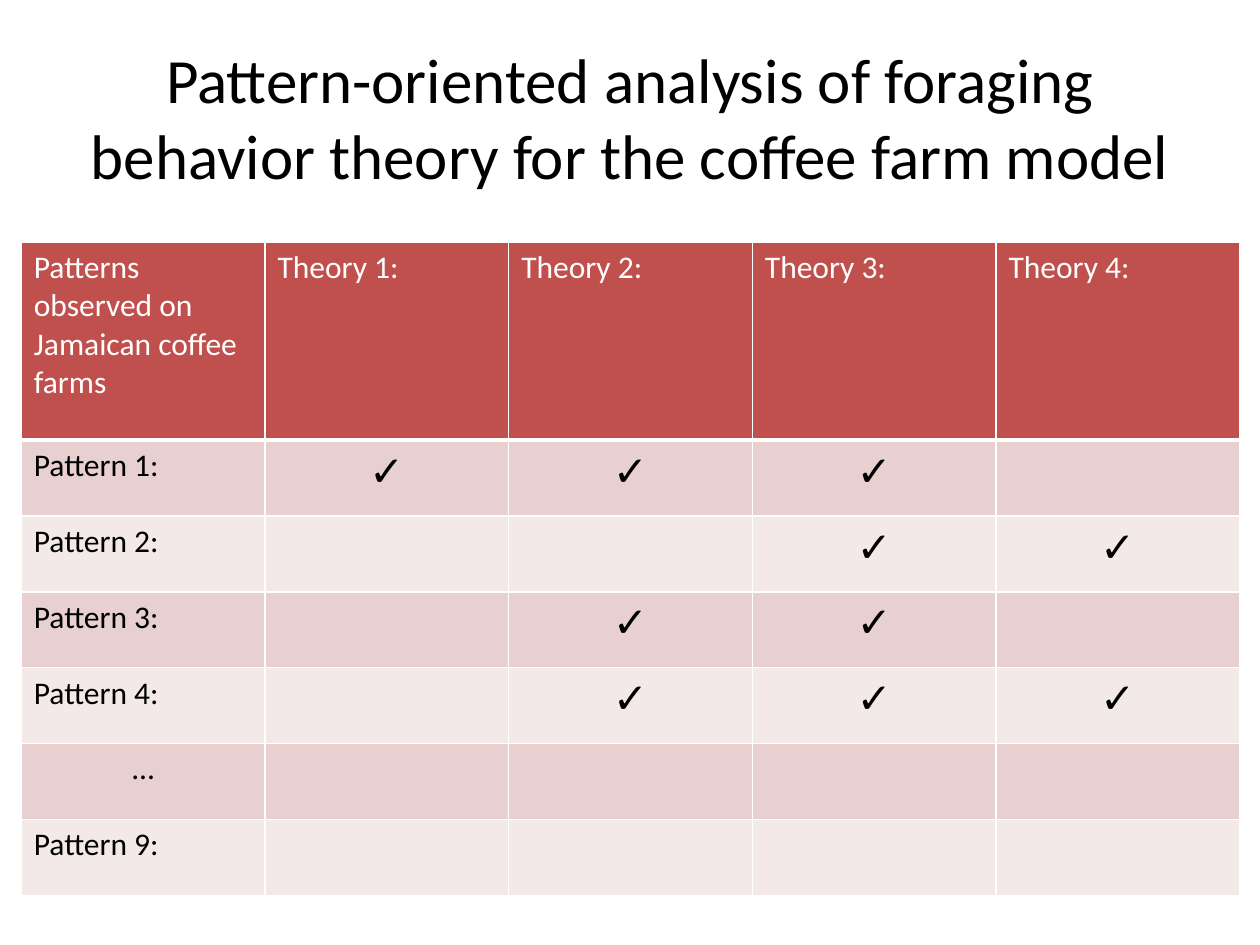
from lxml.etree import SubElement as Sub
from pptx import Presentation
from pptx.dml.color import RGBColor as Rgb
from pptx.enum.text import MSO_ANCHOR as Anchor, PP_ALIGN as Align
from pptx.oxml.ns import qn
from pptx.util import Cm, Pt

TITLE = "Pattern-oriented analysis of foraging behavior theory for the coffee farm model"
HEAD = ["Patterns observed on Jamaican coffee farms",
        "Theory 1:", "Theory 2:", "Theory 3:", "Theory 4:"]
ROWS = [
    ("Pattern 1:", {1, 2, 3}),
    ("Pattern 2:", {3, 4}),
    ("Pattern 3:", {2, 3}),
    ("Pattern 4:", {2, 3, 4}),
    ("...", set()),
    ("Pattern 9:", set()),
]
TICK = "✓"

THEME = {
    "font": "Calibri", "ink": "000000", "pale": "FFFFFF",
    "head": "C0504D", "bands": ["E8D0D0", "F4E9E9"],
    "title": 36, "body": 18, "tick": 24, "rule": 1, "bar": 3,
}
SIZE = {"slide_width": Cm(25.4), "slide_height": Cm(19.05)}
TOP = {"left": Cm(1.27), "top": Cm(0.76), "width": Cm(22.86), "height": Cm(3.18)}
GRID = {"left": Cm(0.43), "top": Cm(4.88), "width": Cm(24.56), "height": Cm(13.17)}
TALL, LOW = Cm(3.99), Cm(1.53)


def put(obj, vals):
    for key, val in vals.items():
        setattr(obj, key, val)


def write(frame, text, size, ink, align):
    para = frame.paragraphs[0]
    para.alignment = align
    run = para.add_run()
    run.text = text
    put(run.font, {"name": THEME["font"], "size": Pt(size), "bold": False})
    run.font.color.rgb = Rgb.from_string(ink)


def edge(cell, widths):
    props = cell._tc.get_or_add_tcPr()
    for side, width in widths.items():
        line = Sub(props, qn("a:ln" + side), w=str(Pt(width)))
        fill = Sub(line, qn("a:solidFill"))
        Sub(fill, qn("a:srgbClr"), val=THEME["pale"])


def style(cell, row):
    rule, bar = THEME["rule"], THEME["bar"]
    edge(cell, {"L": rule, "R": rule, "T": bar if row == 1 else rule,
                "B": rule if row else bar})
    cell.fill.solid()
    tint = THEME["bands"][(row - 1) % 2] if row else THEME["head"]
    cell.fill.fore_color.rgb = Rgb.from_string(tint)


def fill_table(table):
    lines = [HEAD] + [[name] + [TICK if col in hits else "" for col in range(1, len(HEAD))]
                      for name, hits in ROWS]
    for row, line in enumerate(lines):
        table.rows[row].height = LOW if row else TALL
        for col, text in enumerate(line):
            cell = table.cell(row, col)
            style(cell, row)
            if text:
                size = THEME["tick" if text == TICK else "body"]
                ink = THEME["ink" if row else "pale"]
                align = Align.CENTER if text in (TICK, "...") else Align.LEFT
                write(cell.text_frame, text, size, ink, align)


def main():
    deck = Presentation()
    put(deck, SIZE)
    slide = deck.slides.add_slide(deck.slide_layouts[5])
    title = slide.shapes.title
    put(title, TOP)
    put(title.text_frame, {"word_wrap": True, "vertical_anchor": Anchor.MIDDLE})
    write(title.text_frame, TITLE, THEME["title"], THEME["ink"], Align.CENTER)
    fill_table(slide.shapes.add_table(len(ROWS) + 1, len(HEAD), **GRID).table)
    deck.save("out.pptx")


if __name__ == "__main__":
    main()
